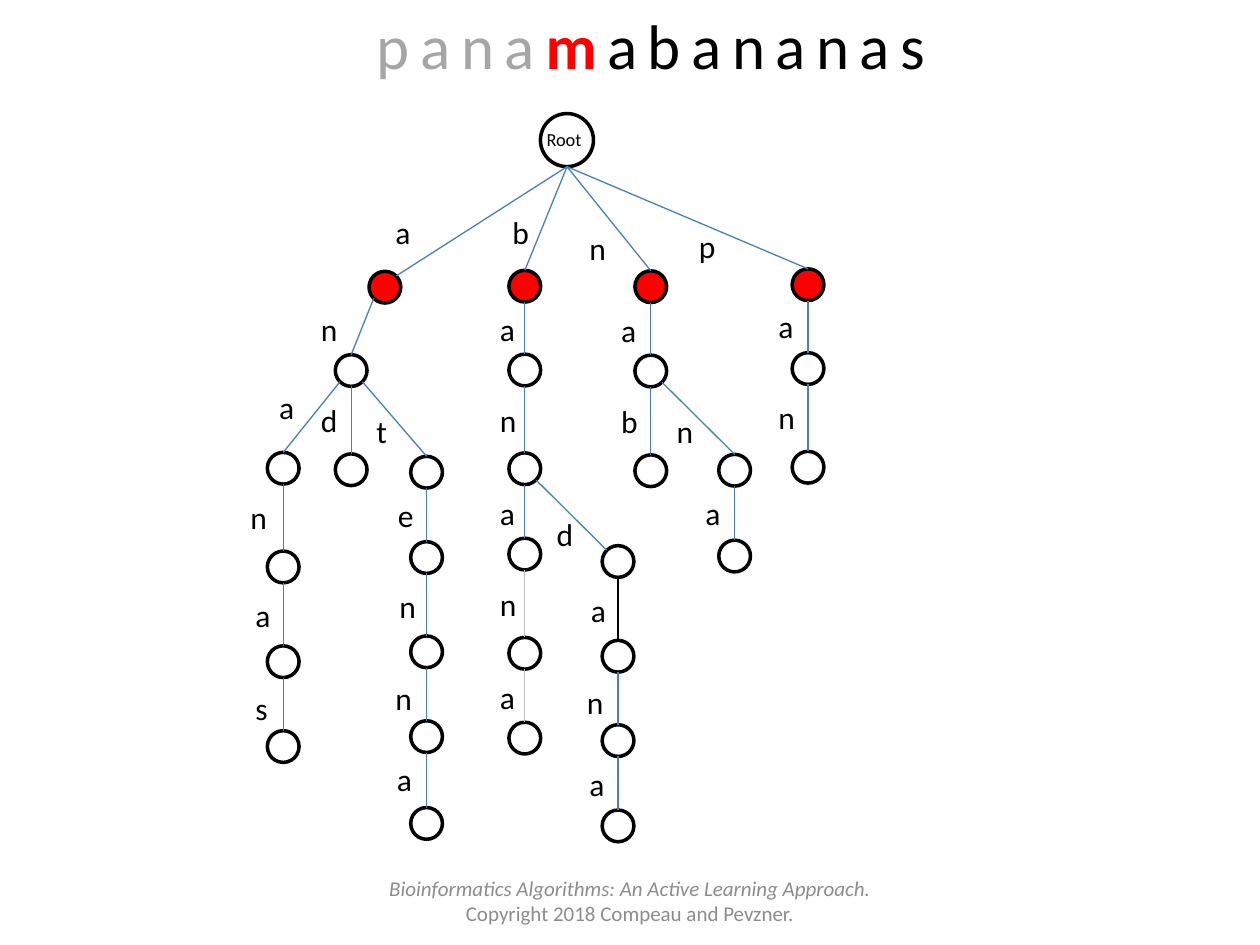
from dataclasses import dataclass
from math import sqrt

from lxml import etree
from pptx import Presentation
from pptx import util as u
from pptx.dml.color import RGBColor
from pptx.enum import shapes, text
from pptx.oxml.ns import qn

COLORS = {
    "black": "000000", "white": "FFFFFF", "red": "FF0000", "blue": "4B7EBC",
    "pale": "BFBFBF", "read": "A6A6A6", "footer": "8C8C8C",
}
FONT = "Calibri"
NODE_SIZE, ROOT_SIZE = 0.64, 1.07
LABEL_HEIGHT = 1.02
LABEL_WIDTHS = {"a": 0.81, "e": 0.83, "s": 0.76, "t": 0.74}  # others 0.86

# Points on a circle, in units of its radius
DIAGONAL = sqrt(0.5)
SITES = {
    "top": (0, -1), "bottom": (0, 1),
    "top left": (-DIAGONAL, -DIAGONAL), "top right": (DIAGONAL, -DIAGONAL),
    "bottom left": (-DIAGONAL, DIAGONAL), "bottom right": (DIAGONAL, DIAGONAL),
}


@dataclass
class Node:
    """A trie node; its prefix names the parent and the letter on the edge."""
    prefix: str
    center: float
    top: float
    label_left: float = 0
    label_top: float = 0
    leave: str = "bottom"
    enter: str = "top"
    edge: str = "blue"
    size: float = NODE_SIZE

    def site(self, name: str) -> tuple[u.Cm, u.Cm]:
        dx, dy = SITES[name]
        radius = self.size / 2
        return u.Cm(self.center + dx * radius), u.Cm(self.top + radius + dy * radius)


@dataclass
class Span:
    words: str
    color: str = "black"
    bold: bool = False
    italic: bool = False


NODES = [
    Node("", 11.43, 2.29, size=ROOT_SIZE),
    # Words starting with a
    Node("a", 7.76, 5.47, 7.72, 4.17, enter="top right"),
    Node("an", 7.08, 7.15, 6.22, 6.12, leave="bottom left"),
    Node("ana", 5.71, 9.12, 5.38, 7.7, leave="bottom left"),
    Node("anan", 5.71, 11.11, 4.8, 9.91),
    Node("anana", 5.71, 13.02, 4.9, 11.89),
    Node("ananas", 5.71, 14.73, 4.9, 13.77),
    Node("and", 7.08, 9.15, 6.22, 7.95),
    Node("ant", 8.6, 9.2, 7.34, 8.18, leave="bottom right"),
    Node("ante", 8.6, 10.92, 7.77, 9.88),
    Node("anten", 8.6, 12.82, 7.8, 11.71),
    Node("antenn", 8.6, 14.53, 7.72, 13.56),
    Node("antenna", 8.6, 16.28, 7.75, 15.19),
    # Words starting with b
    Node("b", 10.58, 5.45, 10.08, 4.17),
    Node("ba", 10.58, 7.14, 9.83, 6.12),
    Node("ban", 10.58, 9.13, 9.83, 7.95),
    Node("bana", 10.58, 10.85, 9.83, 9.83),
    Node("banan", 10.58, 12.85, 9.83, 11.66, edge="pale"),
    Node("banana", 10.58, 14.56, 9.83, 13.54, edge="pale"),
    Node("band", 12.46, 11, 10.97, 10.26, leave="bottom right", enter="top left"),
    Node("banda", 12.46, 12.91, 11.66, 11.79, edge="black"),
    Node("bandan", 12.46, 14.61, 11.58, 13.64),
    Node("bandana", 12.46, 16.33, 11.63, 15.29),
    # Words starting with n
    Node("n", 13.12, 5.46, 11.63, 4.5),
    Node("na", 13.12, 7.16, 12.27, 6.15),
    Node("nab", 13.12, 9.17, 12.27, 7.98),
    Node("nan", 14.81, 9.16, 13.39, 8.18, leave="bottom right"),
    Node("nana", 14.81, 10.89, 13.97, 9.83),
    # Words starting with p
    Node("p", 16.29, 5.42, 13.84, 4.45),
    Node("pa", 16.29, 7.11, 15.44, 6.07),
    Node("pan", 16.29, 9.1, 15.44, 7.9),
]


def rgb(name: str) -> RGBColor:
    return RGBColor.from_string(COLORS[name])


def draw_text(page, area: tuple, lines: list[list[Span]], size: float,
              wrap: bool = True, centered: bool = False, spacing: int = 0,
              anchor=text.MSO_ANCHOR.TOP) -> None:
    box = page.shapes.add_textbox(*(u.Cm(length) for length in area))
    frame = box.text_frame
    frame.word_wrap = wrap
    frame.vertical_anchor = anchor
    for number, spans in enumerate(lines):
        para = frame.add_paragraph() if number else frame.paragraphs[0]
        para.alignment = text.PP_ALIGN.CENTER if centered else text.PP_ALIGN.LEFT
        for span in spans:
            run = para.add_run()
            run.text = span.words
            font = run.font
            font.name, font.size = FONT, u.Pt(size)
            font.bold, font.italic = span.bold, span.italic
            font.color.rgb = rgb(span.color)
            if spacing:
                run._r.get_or_add_rPr().set("spc", str(spacing * 100))


def draw_node(page, node: Node) -> None:
    circle = page.shapes.add_shape(
        shapes.MSO_SHAPE.OVAL, u.Cm(node.center - node.size / 2), u.Cm(node.top),
        u.Cm(node.size), u.Cm(node.size))
    circle.shadow.inherit = False
    circle.fill.solid()
    circle.fill.fore_color.rgb = rgb("red" if len(node.prefix) == 1 else "white")
    circle.line.color.rgb = rgb("black")
    circle.line.width = u.Pt(2)


def draw_edge(page, parent: Node, child: Node) -> None:
    line = page.shapes.add_connector(
        shapes.MSO_CONNECTOR.STRAIGHT,
        *parent.site(child.leave), *child.site(child.enter))
    line.line.color.rgb = rgb(child.edge)
    line.line.width = u.Pt(0.75)
    etree.SubElement(line._element.spPr, qn("a:effectLst"))


def draw_label(page, node: Node) -> None:
    letter = node.prefix[-1]
    area = (node.label_left, node.label_top, LABEL_WIDTHS.get(letter, 0.86), LABEL_HEIGHT)
    draw_text(page, area, [[Span(letter)]], 18, wrap=False)


def main() -> None:
    deck = Presentation()
    deck.slide_width, deck.slide_height = u.Cm(25.4), u.Cm(19.05)
    page = deck.slides.add_slide(deck.slide_layouts[6])

    # Trie
    trie = {node.prefix: node for node in NODES}
    for node in NODES:
        draw_node(page, node)
    for node in NODES[1:]:
        draw_edge(page, trie[node.prefix[:-1]], node)
        draw_label(page, node)
    draw_text(page, (10.77, 2.46, 1.4, 0.71), [[Span("Root")]], 10.5)

    # Text being matched, with the current letter in red
    draw_text(page, (6.78, 0, 12.7, 1.8),
              [[Span("pana", "read"), Span("m", "red", bold=True), Span("abananas")]],
              36, centered=True, spacing=6)

    # Footer
    draw_text(page, (7.2, 17.65, 11, 1.01),
              [[Span("Bioinformatics Algorithms: An Active Learning Approach.",
                     "footer", italic=True)],
               [Span("Copyright 2018 Compeau and Pevzner.", "footer")]],
              12, centered=True, anchor=text.MSO_ANCHOR.MIDDLE)

    deck.save("out.pptx")


if __name__ == "__main__":
    main()
